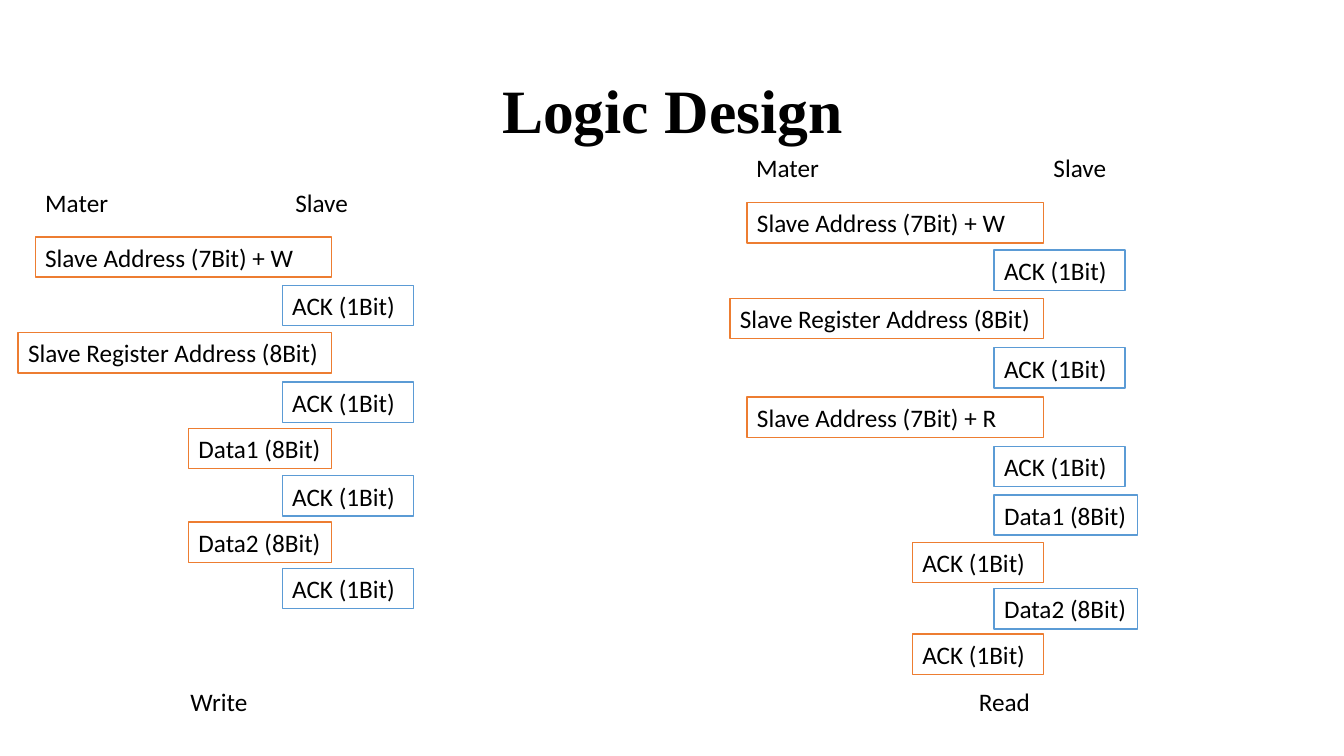
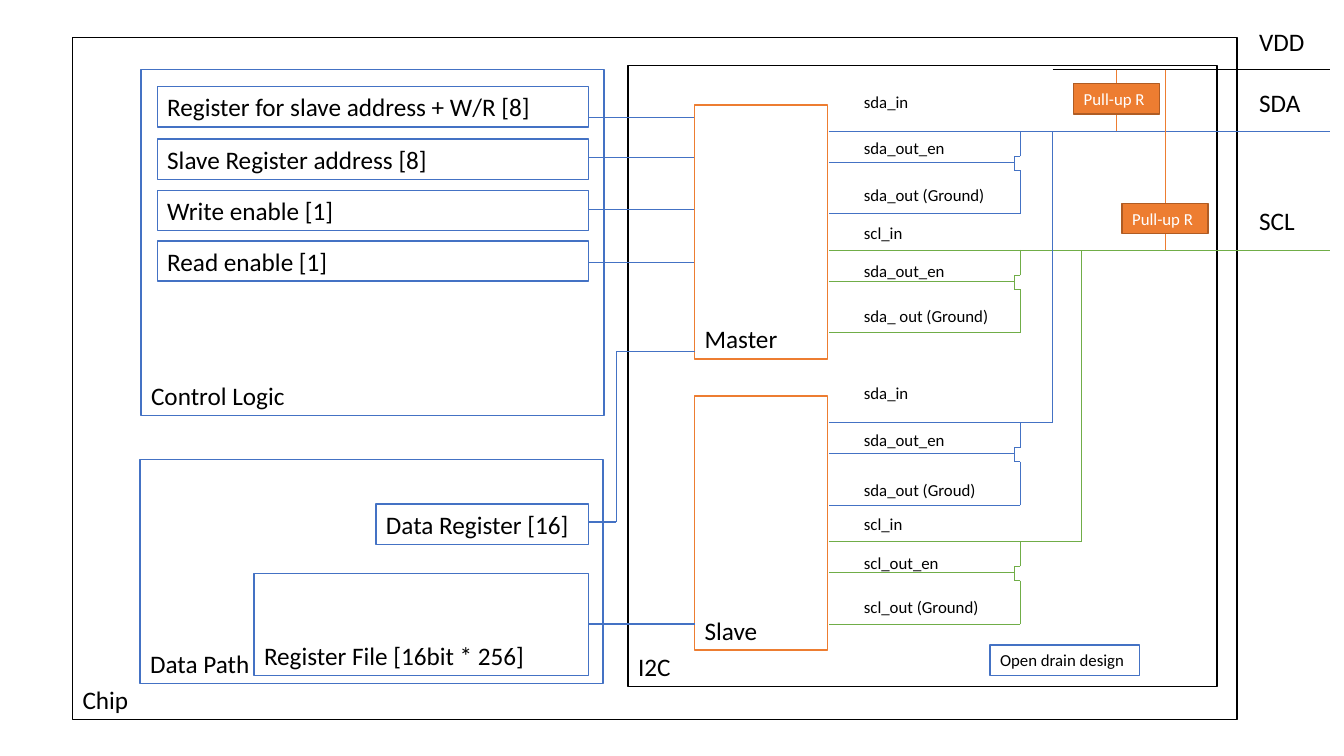
from itertools import pairwise

from lxml import etree
from pptx import Presentation
from pptx.dml.color import RGBColor
from pptx.enum.shapes import MSO_CONNECTOR, MSO_SHAPE
from pptx.enum.text import MSO_ANCHOR, PP_ALIGN
from pptx.oxml.ns import qn
from pptx.util import Inches, Pt

RECT = MSO_SHAPE.RECTANGLE
STRAIGHT = MSO_CONNECTOR.STRAIGHT
TOP, MIDDLE, BOTTOM = MSO_ANCHOR.TOP, MSO_ANCHOR.MIDDLE, MSO_ANCHOR.BOTTOM
LEFT, CENTER = PP_ALIGN.LEFT, PP_ALIGN.CENTER

BLACK = RGBColor(0x00, 0x00, 0x00)
WHITE = RGBColor(0xFF, 0xFF, 0xFF)
ORANGE = RGBColor(0xED, 0x7D, 0x31)
BROWN = RGBColor(0xAF, 0x5C, 0x24)
SKY = RGBColor(0x5B, 0x9B, 0xD5)
BLUE = RGBColor(0x44, 0x72, 0xC4)
GREEN = RGBColor(0x70, 0xAD, 0x47)

BODY_FONT = "Calibri"
TITLE_FONT = "Times New Roman"
COLS, ROWS = 13.33, 7.5
CELL = Inches(1)
BODY, SMALL = 18, 12
ROW_H = {BODY: 0.4, SMALL: 0.3}

ADDRESS_W = "Slave Address (7Bit) + W"
ADDRESS_R = "Slave Address (7Bit) + R"
REGISTER = "Slave Register Address (8Bit)"
ACK = "ACK (1Bit)"
DATA1 = "Data1 (8Bit)"
DATA2 = "Data2 (8Bit)"
FRAME_WIDTHS = {ADDRESS_W: 2.94, ADDRESS_R: 2.94, REGISTER: 3.11,
                ACK: 1.3, DATA1: 1.42, DATA2: 1.42}

WRITE_FRAMES = [
    (ADDRESS_W, "master", 2.35),
    (ACK, "slave", 2.83),
    (REGISTER, "master", 3.3),
    (ACK, "slave", 3.79),
    (DATA1, "master", 4.25),
    (ACK, "slave", 4.72),
    (DATA2, "master", 5.18),
    (ACK, "slave", 5.64),
]
READ_FRAMES = [
    (ADDRESS_W, "master", 2.01),
    (ACK, "slave", 2.48),
    (REGISTER, "master", 2.96),
    (ACK, "slave", 3.45),
    (ADDRESS_R, "master", 3.94),
    (ACK, "slave", 4.43),
    (DATA1, "slave", 4.91),
    (ACK, "master", 5.38),
    (DATA2, "slave", 5.84),
    (ACK, "master", 6.29),
]

BLOCKS = [
    ("Chip", 0.72, 0.37, 11.55, 6.77, BLACK),
    ("I2C", 6.23, 0.65, 5.84, 6.16, BLACK),
    ("Master", 6.89, 1.04, 1.32, 2.52, ORANGE),
    ("Slave", 6.89, 3.93, 1.32, 2.52, ORANGE),
    ("Control Logic", 1.4, 0.69, 4.59, 3.43, BLUE),
    ("Data Path", 1.39, 4.56, 4.59, 2.22, BLUE),
    ("Register File [16bit * 256]", 2.52, 5.69, 3.32, 1.01, BLUE),
    ("Data Register [16]", 3.73, 5, 2.11, 0.4, BLUE),
]
CONTROL_REGISTERS = [
    ("Register for slave address + W/R [8]", 0.86, 1.16),
    ("Slave Register address [8]", 1.38, 1.56),
    ("Write enable [1]", 1.89, 2.08),
    ("Read enable [1]", 2.39, 2.6),
]
BUS_LABELS = [("VDD", 0.21), ("SDA", 0.82), ("SCL", 1.99)]
PORT, GATE, DRAIN, SDA_TAP, SCL_TAP, BUS_END = 8.22, 10.06, 10.12, 10.44, 10.73, 13.19
VDD_Y, SDA_Y, SCL_Y = 0.69, 1.3, 2.48

OPEN_DRAINS = [
    (SDA_Y, BUS_END, BLUE,
     [("sda_in", 0.86), ("sda_out_en", 1.32), ("sda_out (Ground)", 1.78)]),
    (SCL_Y, BUS_END, GREEN,
     [("scl_in", 2.16), ("sda_out_en", 2.54), ("sda_ out (Ground)", 2.98)]),
    (4.19, SDA_TAP, BLUE,
     [("sda_in", 3.75), ("sda_out_en", 4.21), ("sda_out (Groud)", 4.71)]),
    (5.37, SCL_TAP, GREEN,
     [("scl_in", 5.05), ("scl_out_en", 5.43), ("scl_out (Ground)", 5.87)]),
]
PULL_UPS = [(10.65, 0.83, SDA_Y), (11.13, 2.02, SCL_Y)]


def grid(*cells):
    return [round(c * CELL) for c in cells]


def write(shape, text, size, color, anchor, align=LEFT, font=BODY_FONT, bold=False):
    tf = shape.text_frame
    tf.text = text
    tf.word_wrap = True
    tf.vertical_anchor = anchor
    p = tf.paragraphs[0]
    p.alignment = align
    f = p.runs[0].font
    f.name, f.size, f.bold = font, Pt(size), bold
    f.color.rgb = color


def add_title(s, text):
    sp = s.shapes.title
    sp.left, sp.top, sp.width, sp.height = grid(0.92, 0.4, 11.5, 1.45)
    write(sp, text, 44, BLACK, MIDDLE, CENTER, TITLE_FONT, True)
    sp.text_frame.paragraphs[0].line_spacing = 0.9


def box(s, text, x, y, w, h, line, size=BODY, fill=WHITE, color=BLACK):
    sp = s.shapes.add_shape(RECT, *grid(x, y, w, h))
    sp.shadow.inherit = False
    sp.fill.solid()
    sp.fill.fore_color.rgb = fill
    sp.line.color.rgb = line
    sp.line.width = Pt(1)
    write(sp, text, size, color, BOTTOM)


def label(s, text, x, y, w, size=BODY):
    sp = s.shapes.add_textbox(*grid(x, y, w, ROW_H[size]))
    write(sp, text, size, BLACK, TOP)


def wire(s, color, *points, width=0.5):
    for start, end in pairwise(points):
        line = s.shapes.add_connector(STRAIGHT, *grid(*start, *end))
        line.line.color.rgb = color
        line.line.width = Pt(width)
        etree.SubElement(line._element.spPr, qn("a:effectLst"))


def sequence(s, frames, master_right, slave_left):
    for text, sender, y in frames:
        w = FRAME_WIDTHS[text]
        if sender == "master":
            box(s, text, master_right - w, y, w, ROW_H[BODY], ORANGE)
        else:
            box(s, text, slave_left, y, w, ROW_H[BODY], SKY)


def open_drain(s, y, bus_end, color, labels):
    top, bottom, ground = y + 0.25, y + 0.39, y + 0.82
    wire(s, color, (PORT, y), (bus_end, y))
    wire(s, color, (DRAIN, y), (DRAIN, top), (GATE, top), (GATE, bottom),
         (DRAIN, bottom), (DRAIN, ground), (PORT, ground))
    wire(s, color, (PORT, y + 0.31), (GATE, y + 0.31))
    for text, label_y in labels:
        label(s, text, 8.47, label_y, 1.46, SMALL)


def pull_up(s, x, y, bus_y):
    w, h = 0.85, ROW_H[SMALL]
    center = x + w / 2
    wire(s, ORANGE, (center, VDD_Y), (center, y))
    wire(s, ORANGE, (center, y + h), (center, bus_y))
    box(s, "Pull-up R", x, y, w, h, BROWN, SMALL, ORANGE, WHITE)


def logic_slide(prs):
    s = prs.slides.add_slide(prs.slide_layouts[5])
    add_title(s, "Logic Design")
    sequence(s, WRITE_FRAMES, 3.29, 2.8)
    sequence(s, READ_FRAMES, 10.35, 9.86)
    for text, x, y in [("Mater", 0.35, 1.81), ("Slave", 2.83, 1.81),
                       ("Mater", 7.4, 1.46), ("Slave", 10.35, 1.46),
                       ("Write", 1.79, 6.76), ("Read", 9.61, 6.76)]:
        label(s, text, x, y, 0.92)


def chip_slide(prs):
    s = prs.slides.add_slide(prs.slide_layouts[6])
    for block in BLOCKS:
        box(s, *block)
    for text, y, wire_y in CONTROL_REGISTERS:
        box(s, text, 1.56, y, 4.28, ROW_H[BODY], BLUE)
        wire(s, BLUE, (5.84, wire_y), (6.88, wire_y))
    wire(s, BLUE, (5.84, 6.19), (6.89, 6.19), width=1)
    wire(s, BLUE, (5.84, 5.18), (6.11, 5.18), width=1)
    wire(s, BLUE, (6.11, 5.18), (6.11, 3.49), (6.89, 3.49))
    for drain in OPEN_DRAINS:
        open_drain(s, *drain)
    wire(s, BLUE, (SDA_TAP, 4.19), (SDA_TAP, SDA_Y))
    wire(s, GREEN, (SCL_TAP, 5.37), (SCL_TAP, SCL_Y))
    wire(s, BLACK, (SDA_TAP, VDD_Y), (BUS_END, VDD_Y))
    for text, y in BUS_LABELS:
        label(s, text, 12.39, y, 0.68)
    for resistor in PULL_UPS:
        pull_up(s, *resistor)
    box(s, "Open drain design", 9.82, 6.4, 1.48, ROW_H[SMALL], BLUE, SMALL)


def main():
    prs = Presentation()
    prs.slide_width, prs.slide_height = grid(COLS, ROWS)
    logic_slide(prs)
    chip_slide(prs)
    prs.save("out.pptx")


main()
